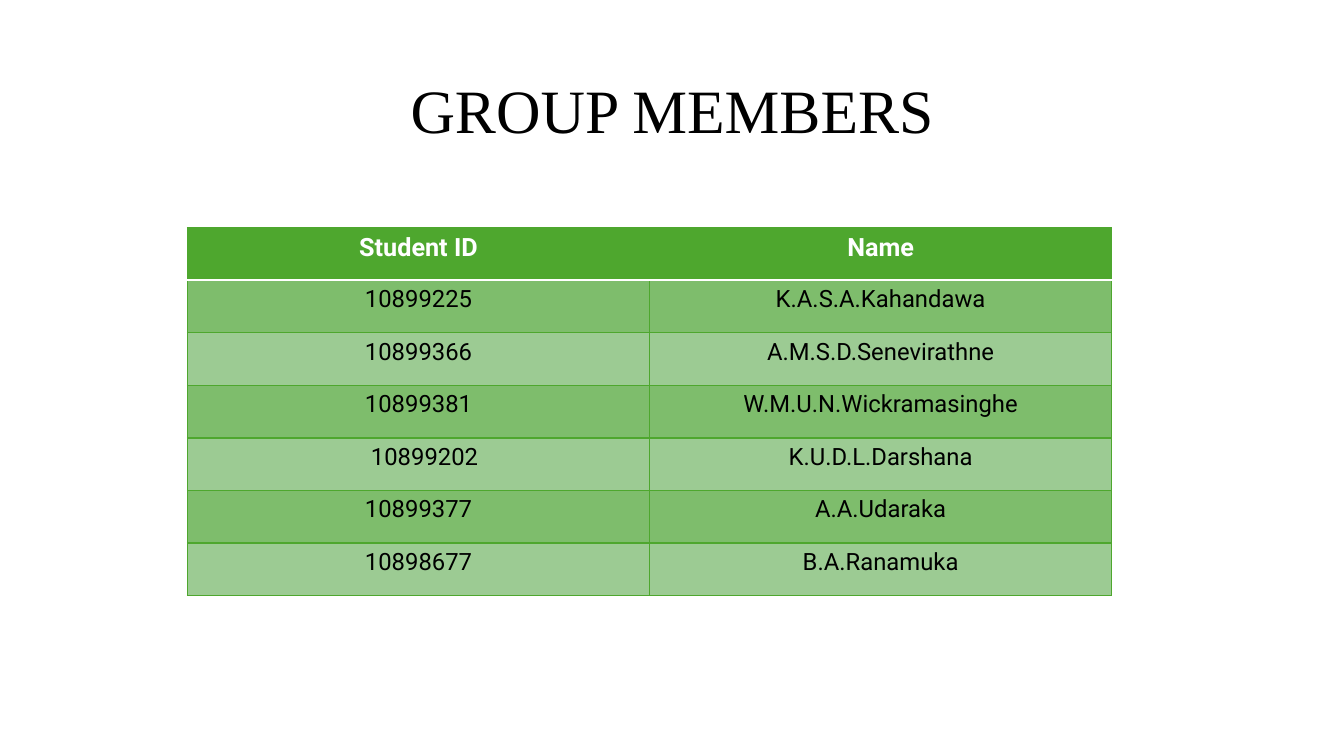
import pptx
import pptx.util
import pptx.dml.color
import pptx.enum.text
import pptx.oxml.ns
from lxml import etree

Inches, Pt = pptx.util.Inches, pptx.util.Pt
RGB = pptx.dml.color.RGBColor.from_string
CENTER = pptx.enum.text.PP_ALIGN.CENTER
MIDDLE = pptx.enum.text.MSO_ANCHOR.MIDDLE

THEME = {
    "green": "4EA72E", "band_dark": "7EBD6C", "band_light": "9CCB93",
    "white": "FFFFFF", "black": "000000",
    "title_font": "Times New Roman", "table_font": "Roboto",
    "title_size": 44, "header_size": 18, "body_size": 17,
}
MEMBERS = [
    ("Student ID", "Name"),
    ("10899225", "K.A.S.A.Kahandawa"),
    ("10899366", "A.M.S.D.Senevirathne"),
    ("10899381", "W.M.U.N.Wickramasinghe"),
    ("10899202", "K.U.D.L.Darshana"),
    ("10899377", "A.A.Udaraka"),
    ("10898677", "B.A.Ranamuka"),
]
COL_W, ROW_H = 4.585, 0.5214
INDENTED_ID = "10899202"


def set_font(p, name, size, color, bold=False):
    p.alignment = CENTER
    p.font.name, p.font.size, p.font.bold = name, Pt(size), bold
    p.font.color.rgb = RGB(color)


def set_border(cell, index, side, color, width):
    ln = etree.Element(pptx.oxml.ns.qn("a:ln" + side), w=str(Pt(width)))
    fill = etree.SubElement(ln, pptx.oxml.ns.qn("a:solidFill"))
    etree.SubElement(fill, pptx.oxml.ns.qn("a:srgbClr"), val=color)
    cell._tc.get_or_add_tcPr().insert(index, ln)


prs = pptx.Presentation()
prs.slide_width, prs.slide_height = Inches(13.333), Inches(7.5)
s = prs.slides.add_slide(prs.slide_layouts[6])

# Title
sp = s.shapes.add_textbox(Inches(0.92), Inches(0.4), Inches(11.5), Inches(1.45))
tf = sp.text_frame
tf.word_wrap, tf.vertical_anchor = True, MIDDLE
p = tf.paragraphs[0]
p.text, p.line_spacing = "GROUP MEMBERS", 0.9
set_font(p, THEME["title_font"], THEME["title_size"], THEME["black"])

# Member table
table = s.shapes.add_table(len(MEMBERS), 2, Inches(1.86), Inches(2.26),
                           Inches(2 * COL_W), Inches(len(MEMBERS) * ROW_H)).table
for column in table.columns:
    column.width = Inches(COL_W)
for row, member in enumerate(MEMBERS):
    table.rows[row].height = Inches(ROW_H)
    header = row == 0
    band = "green" if header else "band_dark" if row % 2 else "band_light"
    for col, text in enumerate(member):
        cell = table.cell(row, col)
        cell.fill.solid()
        cell.fill.fore_color.rgb = RGB(THEME[band])
        if text == INDENTED_ID:
            cell.margin_left = Inches(0.22)
        p = cell.text_frame.paragraphs[0]
        p.text = text
        set_font(p, THEME["table_font"],
                 THEME["header_size" if header else "body_size"],
                 THEME["white" if header else "black"], header)
        # Green grid with a white rule under the header
        for index, side in enumerate("LRTB"):
            rule = (row, side) in ((0, "B"), (1, "T"))
            set_border(cell, index, side, THEME["white" if rule else "green"],
                       1.5 if rule else 1)

prs.save("out.pptx")
